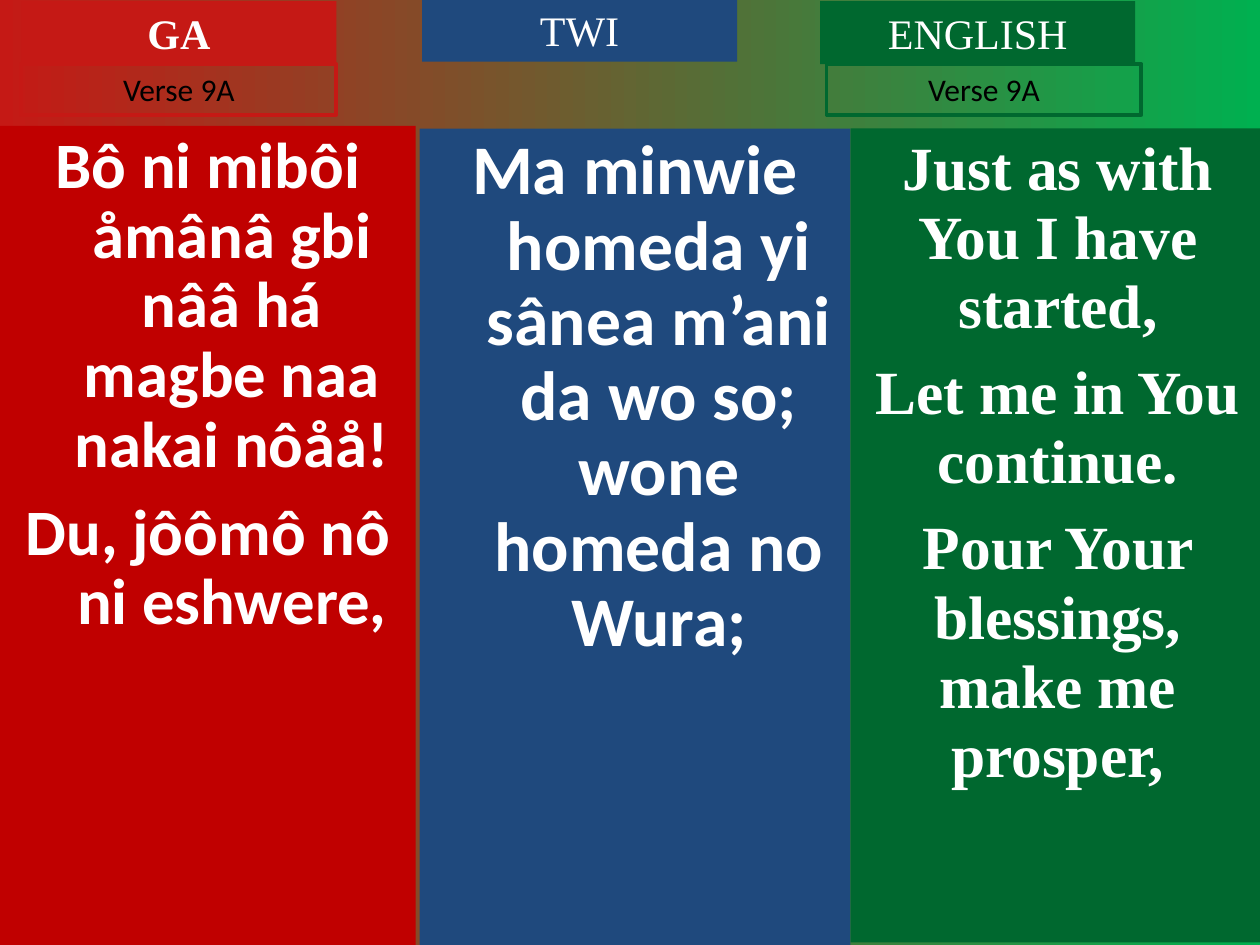
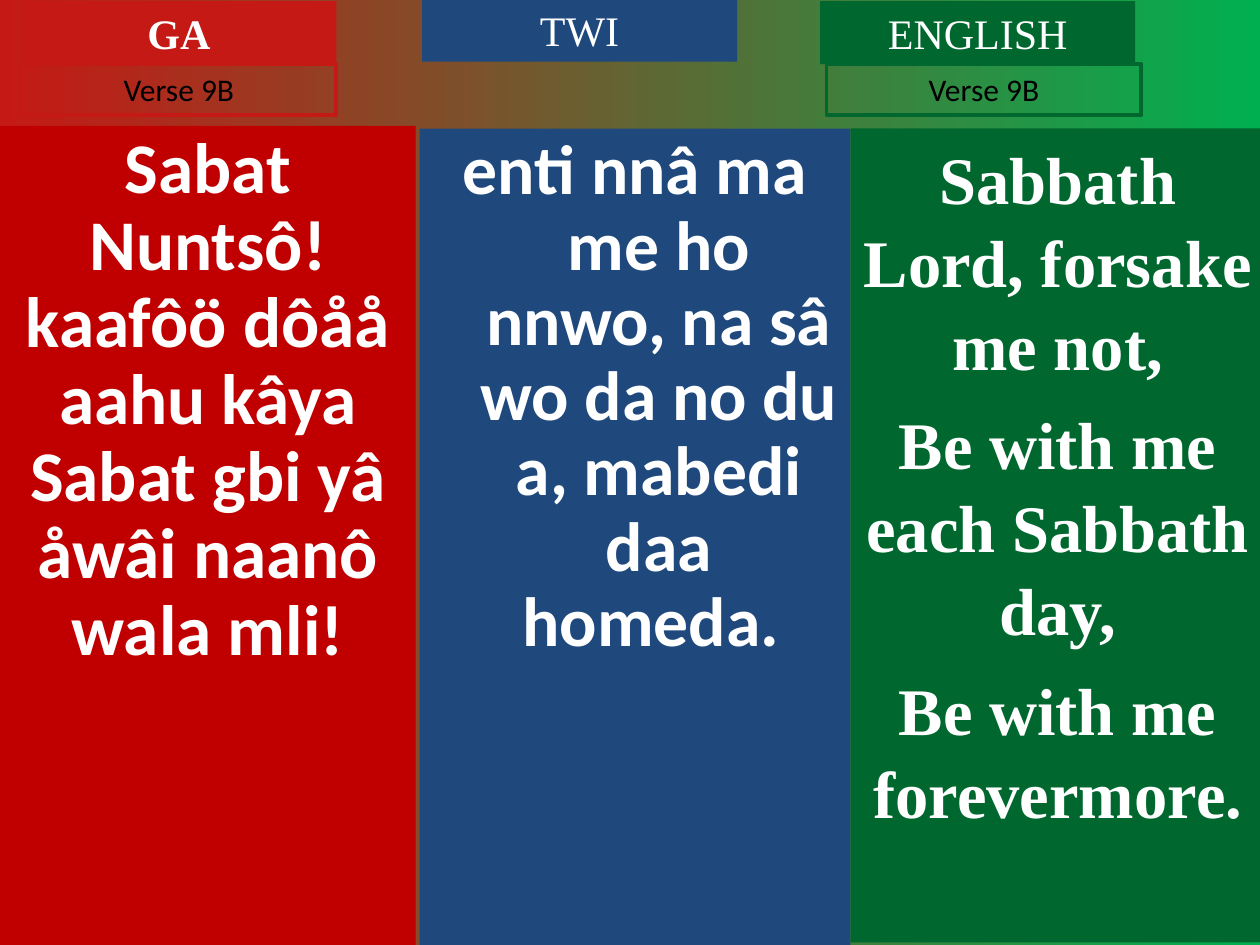
"""Build two hymn slides with the verse in Ga, Twi and English side by side."""
from pptx import Presentation
from pptx.dml.color import RGBColor
from pptx.enum.shapes import MSO_SHAPE
from pptx.enum.text import MSO_ANCHOR, PP_ALIGN
from pptx.util import Inches, Pt

RED, BLUE, GREEN = "C51915", "1F497D", "00682F"
DEEP_RED, BRIGHT_GREEN = "C00000", "00B050"
WHITE, BLACK = "FFFFFF", "000000"
SERIF, SANS = "Times New Roman", "Calibri"


def color(hex_string):
    return RGBColor.from_string(hex_string)


def add_box(page, paragraphs, place, fill=None, line=None, size=24, font=SERIF,
            ink=WHITE, bold=False, spacing=1.0, before=0, hanging=0):
    box = page.shapes.add_shape(MSO_SHAPE.RECTANGLE, *[Inches(value) for value in place])
    box.shadow.inherit = False
    if fill:
        box.fill.solid()
        box.fill.fore_color.rgb = color(fill)
    else:
        box.fill.background()
    if line:
        box.line.color.rgb = color(line)
        box.line.width = Pt(2.25)
    else:
        box.line.fill.background()
    frame = box.text_frame
    frame.word_wrap = True
    frame.vertical_anchor = MSO_ANCHOR.TOP
    for index, text in enumerate(paragraphs):
        para = frame.add_paragraph() if index else frame.paragraphs[0]
        para.alignment = PP_ALIGN.CENTER
        para.line_spacing = spacing
        para.space_before = Pt(before if index else 0)
        if hanging:
            properties = para._p.get_or_add_pPr()
            properties.set("marL", str(Inches(hanging)))
            properties.set("indent", str(-Inches(hanging)))
        span = para.add_run()
        span.text = text
        span.font.size = Pt(size)
        span.font.name = font
        span.font.bold = bold
        span.font.color.rgb = color(ink)


headers = [
    ("GA", 0.17, 0.01, RED, True),
    ("TWI", 3.35, -0.01, BLUE, False),
    ("ENGLISH", 6.51, 0.01, GREEN, False),
]
verse_tags = [(0.17, RED), (6.56, GREEN)]
columns = [
    ((0, 1, 3.3, 6.5), DEEP_RED, SANS),
    ((3.33, 1.02, 3.42, 6.48), BLUE, SANS),
    ((6.75, 1.02, 3.29, 6.46), GREEN, SERIF),
]
verses = [
    ("Verse 9A", [
        (["Bô ni mibôi åmânâ gbi nââ há magbe naa nakai nôåå!",
          "Du, jôômô nô ni eshwere,"],
         dict(size=37, spacing=0.9, before=10, hanging=0.38)),
        (["Ma minwie homeda yi sânea m’ani da wo so; wone homeda no Wura;"],
         dict(size=39.8, spacing=0.9, hanging=0.38)),
        (["Just as with You I have started,", "Let me in You continue.",
          "Pour Your blessings, make me prosper,"],
         dict(size=35.1, spacing=0.94, before=9.5)),
    ]),
    ("Verse 9B", [
        (["Sabat Nuntsô! kaafôö dôåå aahu kâya Sabat gbi yâ åwâi naanô wala mli!"],
         dict(size=40.7, spacing=0.9)),
        (["enti nnâ ma me ho nnwo, na sâ wo da no du a, mabedi daa homeda. "],
         dict(size=39.8, spacing=0.9, hanging=0.38)),
        (["Sabbath Lord, forsake me not,", "Be with me each Sabbath day,",
          "Be with me forevermore."],
         dict(size=38, spacing=1.04, before=9.5)),
    ]),
]

deck = Presentation()
deck.slide_width, deck.slide_height = Inches(10), Inches(7.5)

for verse_name, lyrics in verses:
    page = deck.slides.add_slide(deck.slide_layouts[6])
    backdrop = page.background.fill
    backdrop.gradient()
    backdrop.gradient_angle = 0
    for stop, shade in zip(backdrop.gradient_stops, (RED, BRIGHT_GREEN)):
        stop.color.rgb = color(shade)

    for (place, fill, font), (paragraphs, style) in zip(columns, lyrics):
        add_box(page, paragraphs, place, fill=fill, font=font, bold=True, **style)
    for language, left, top, fill, bold in headers:
        add_box(page, [language], (left, top, 2.5, 0.5), fill=fill, bold=bold)
    for left, line in verse_tags:
        add_box(page, [verse_name], (left, 0.51, 2.5, 0.4), line=line, size=18,
                font=SANS, ink=BLACK)

deck.save("out.pptx")
